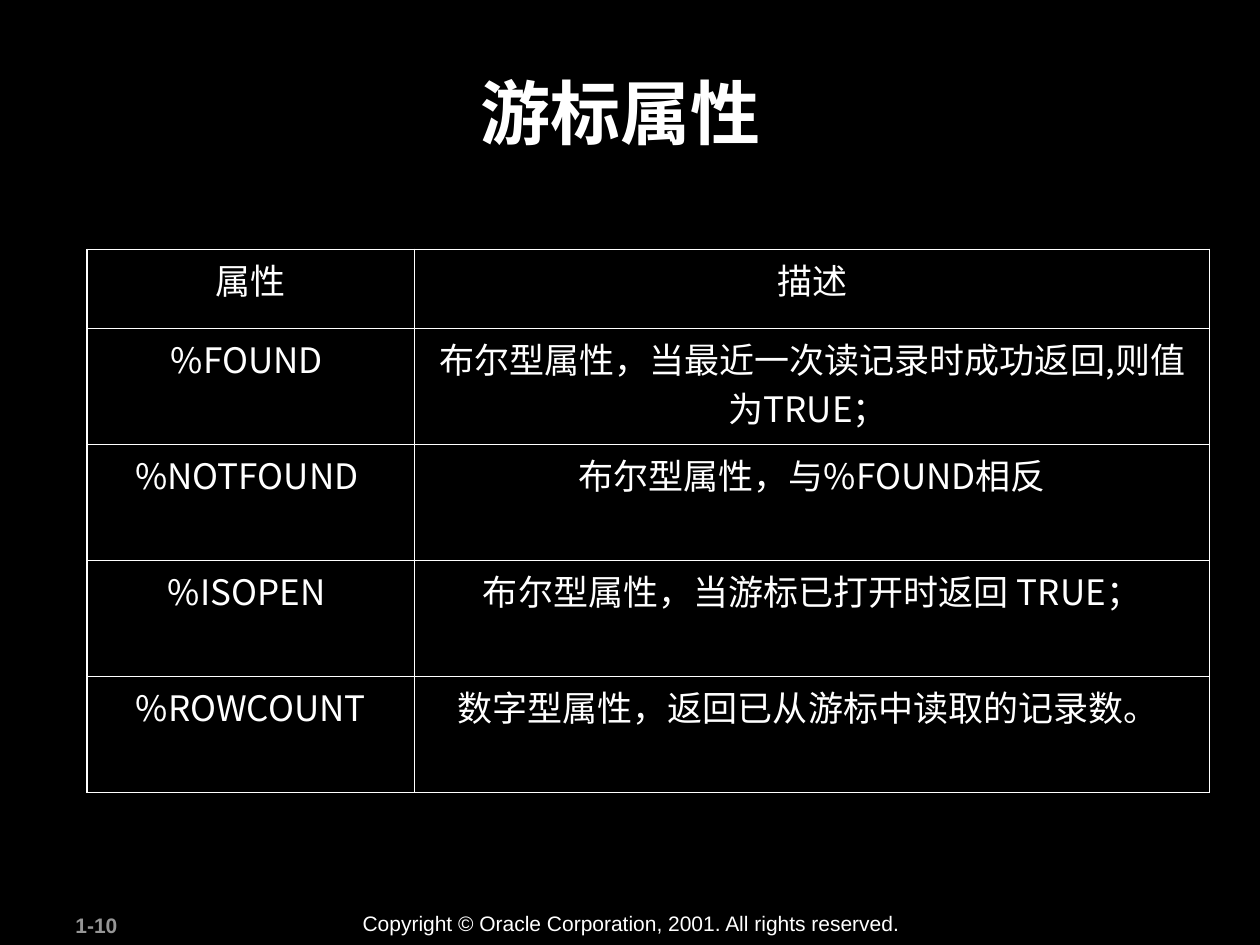
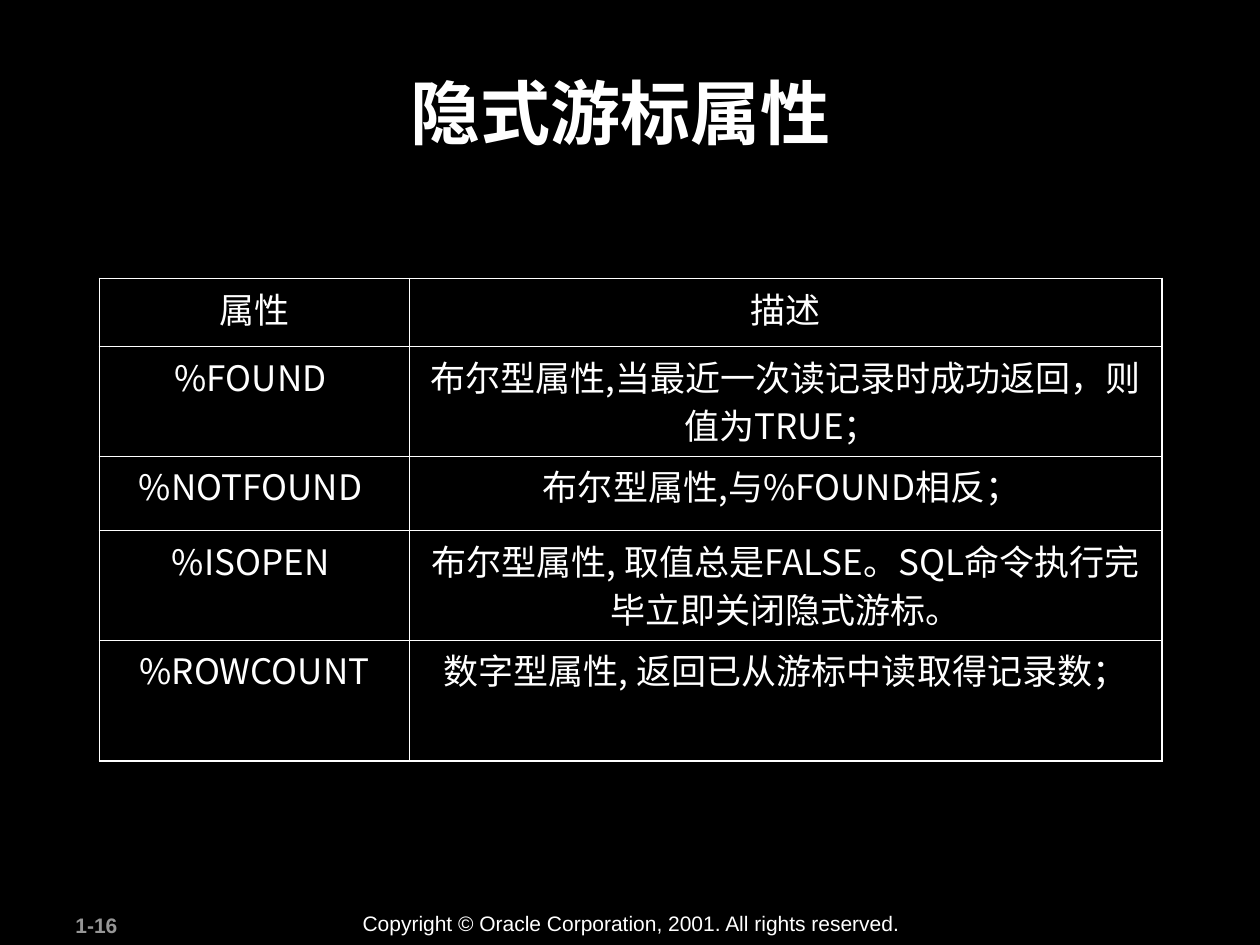
from dataclasses import dataclass

from lxml import etree
from pptx import Presentation
from pptx.dml.color import RGBColor
from pptx.enum import text
from pptx.oxml.ns import qn
from pptx.util import Emu, Pt

SCALE = 9144  # EMU per px, 100 px to the inch


@dataclass(frozen=True)
class Theme:
    background: str = "000000"
    foreground: str = "FFFFFF"
    muted: str = "969696"
    latin_font: str = "Arial"
    chinese_font: str = "Noto Sans CJK SC"
    title_size: int = 40
    table_size: int = 20
    footer_size: int = 12
    table_spacing: float = 0.95
    title_spacing: float = 0.9
    outer_border: float = 1.08
    inner_border: float = 0.45


def px(length):
    return Emu(length * SCALE)


class Deck:
    def __init__(self, theme):
        self.theme = theme
        self.presentation = Presentation()
        self.presentation.slide_width = px(1000)
        self.presentation.slide_height = px(750)
        self.slide = None

    def add_slide(self, title, number):
        theme = self.theme
        self.slide = self.presentation.slides.add_slide(self.presentation.slide_layouts[6])
        fill = self.slide.background.fill
        fill.solid()
        fill.fore_color.rgb = RGBColor.from_string(theme.background)
        # Footer
        self.add_text(number, (50, 719, 105, 30), theme.footer_size, theme.latin_font,
                      color=theme.muted, bold=True)
        self.add_text("Copyright © Oracle Corporation, 2001. All rights reserved.",
                      (278, 718, 450, 30), theme.footer_size, theme.latin_font)
        # Title
        self.add_text(title, (94, 58, 810, 96), theme.title_size, theme.chinese_font,
                      bold=True, centered=True, spacing=theme.title_spacing)

    def add_text(self, words, box, size, font, **style):
        frame = self.slide.shapes.add_textbox(*map(px, box)).text_frame
        frame.word_wrap = True
        self.fill_frame(frame, words, size, font, **style)

    def fill_frame(self, frame, words, size, font, color=None, bold=False,
                   centered=False, spacing=None):
        paragraph = frame.paragraphs[0]
        if centered:
            paragraph.alignment = text.PP_ALIGN.CENTER
        if spacing:
            paragraph.line_spacing = spacing
        run = paragraph.add_run()
        run.text = words
        run.font.size = Pt(size)
        run.font.bold = bold
        run.font.color.rgb = RGBColor.from_string(color or self.theme.foreground)
        run.font.name = font
        east_asian = etree.SubElement(run.font._element, qn("a:ea"))
        east_asian.set("typeface", font)

    def add_table(self, left, top, columns, heights, rows):
        theme = self.theme
        table = self.slide.shapes.add_table(
            len(rows), len(columns), px(left), px(top),
            px(sum(columns)), px(sum(heights))).table
        table.first_row = table.horz_banding = False
        for column, width in zip(table.columns, columns):
            column.width = px(width)
        for row, height in zip(table.rows, heights):
            row.height = px(height)
        last_row, last_column = len(rows) - 1, len(columns) - 1
        for r, row in enumerate(rows):
            for c, words in enumerate(row):
                cell = table.cell(r, c)
                self.fill_frame(cell.text_frame, words, theme.table_size,
                                theme.chinese_font, centered=True,
                                spacing=theme.table_spacing)
                self.add_borders(cell, {"lnL": c == 0, "lnR": c == last_column,
                                        "lnT": r == 0, "lnB": r == last_row})
                cell.fill.solid()
                cell.fill.fore_color.rgb = RGBColor.from_string(theme.background)

    def add_borders(self, cell, edges):
        properties = cell._tc.get_or_add_tcPr()
        for tag, is_outer in edges.items():
            width = self.theme.outer_border if is_outer else self.theme.inner_border
            line = etree.SubElement(properties, qn(f"a:{tag}"), w=str(int(Pt(width))))
            fill = etree.SubElement(line, qn("a:solidFill"))
            etree.SubElement(fill, qn("a:srgbClr"), val=self.theme.foreground)


def main():
    deck = Deck(Theme())

    # Cursor attributes
    deck.add_slide("游标属性 ", "1-10")
    deck.add_table(69, 198, (260, 631), (63, 92, 92, 92, 92), [
        ("属性", "描述"),
        ("%FOUND ", "布尔型属性，当最近一次读记录时成功返回,则值为TRUE； "),
        ("%NOTFOUND ", " 布尔型属性，与%FOUND相反 "),
        ("%ISOPEN ", " 布尔型属性，当游标已打开时返回 TRUE； "),
        (" %ROWCOUNT ", "数字型属性，返回已从游标中读取的记录数。 "),
    ])

    # Implicit cursor attributes
    deck.add_slide("隐式游标属性 ", "1-16")
    deck.add_table(79, 221, (246, 597), (54, 87, 59, 87, 96), [
        ("属性", "描述"),
        ("%FOUND ", "布尔型属性,当最近一次读记录时成功返回，则值为TRUE； "),
        ("%NOTFOUND ", "布尔型属性,与%FOUND相反； "),
        ("%ISOPEN ", "布尔型属性, 取值总是FALSE。SQL命令执行完毕立即关闭隐式游标。"),
        (" %ROWCOUNT ", "数字型属性, 返回已从游标中读取得记录数；"),
    ])

    deck.presentation.save("out.pptx")


if __name__ == "__main__":
    main()
